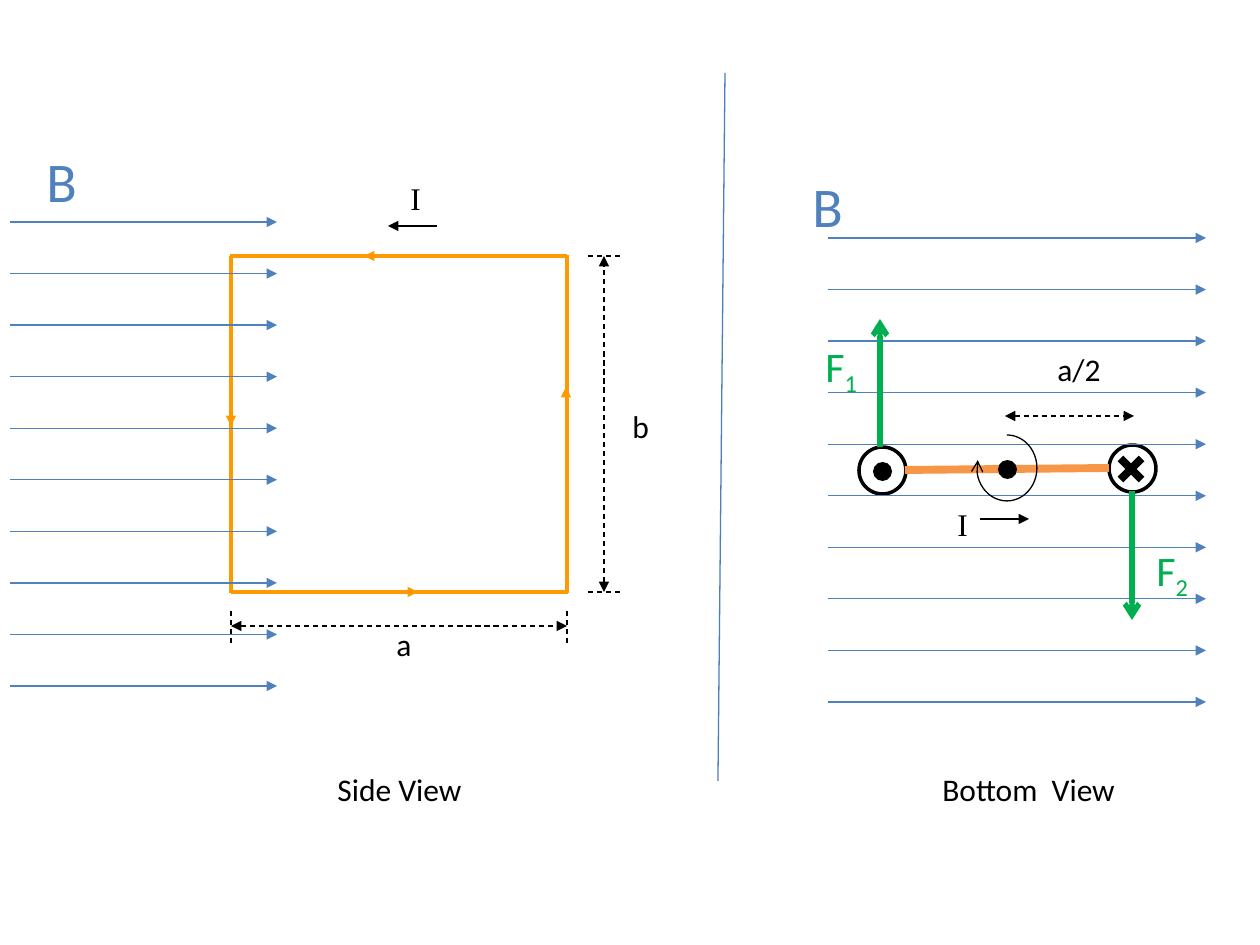
from dataclasses import dataclass

from lxml import etree
from pptx import Presentation, util as u
from pptx.dml.color import RGBColor
from pptx.enum import dml, shapes, text
from pptx.oxml.ns import qn


@dataclass(frozen=True)
class Theme:
    black: str = "000000"
    white: str = "FFFFFF"
    field: str = "4F81BD"
    divider: str = "4B7EBC"
    loop: str = "FF9900"
    wire: str = "F79646"
    force: str = "00B050"
    sans: str = "Calibri"
    serif: str = "Times New Roman"
    label: int = 18
    force_label: int = 24
    field_label: int = 32


THEME = Theme()
LEFT, TOP, RIGHT, BOTTOM = 231, 256, 567, 592  # current loop, side view

# Stroke styles
SIDE = dict(color=THEME.loop, width=2.25)
LOOP_ARROW = dict(color=THEME.loop, tail="triangle")
CURRENT = dict(tail="triangle")
TICK = dict(dashed=True)
DIMENSION = dict(dashed=True, head="triangle", tail="triangle")
FIELD = dict(color=THEME.field, tail="triangle")
WIRE = dict(color=THEME.wire, width=4.5)
FORCE = dict(color=THEME.force, width=3, tail="arrow")
DIVIDER = dict(color=THEME.divider)

# Strokes: from x, from y, to x, to y, style
SIDE_STROKES = [
    (LEFT - 1, TOP, RIGHT, TOP, SIDE),
    (LEFT, BOTTOM, RIGHT + 1, BOTTOM, SIDE),
    (LEFT, BOTTOM + 1, LEFT, TOP, SIDE),
    (RIGHT, BOTTOM + 1, RIGHT, TOP - 1, SIDE),
    (LEFT, 363, LEFT, 426, LOOP_ARROW),
    (RIGHT - 1, 449, RIGHT - 1, 387, LOOP_ARROW),
    (427, TOP, 364, TOP, LOOP_ARROW),
    (357, BOTTOM, 418, BOTTOM, LOOP_ARROW),
    (437, 226, 388, 226, CURRENT),
    (LEFT, 611, LEFT, 646, TICK),
    (RIGHT, 611, RIGHT, 646, TICK),
    (LEFT, 626, RIGHT, 626, DIMENSION),
    (588, BOTTOM, 624, BOTTOM, TICK),
    (588, TOP, 624, TOP, TICK),
    (604, BOTTOM, 604, TOP, DIMENSION),
]
BOTTOM_STROKES = [
    (880, 447, 880, 319, FORCE),
    (1132, 491, 1132, 620, FORCE),
    (1005, 416, 1134, 416, DIMENSION),
    (980, 519, 1029, 519, CURRENT),
    (725, 73, 718, 781, DIVIDER),
]

# Field lines: from x, to x, first y
SIDE_FIELD = (10, 277, 222)
BOTTOM_FIELD = (828, 1206, 238)
FIELD_COUNT, FIELD_SPAN = 10, 464

# Wire ends: left, top, width, height, fill, line width
WIRE_ENDS = [
    (859, 447, 47, 47, THEME.white, 2),
    (873, 462, 19, 19, THEME.black, 0),
    (1109, 445, 47, 47, THEME.white, 2),
]
CROSS, CROSS_ANGLES = (1116, 465, 30, 8), (315, 45)
PIVOT = (998, 460, 19, 19)
ROTATION, ROTATION_ANGLES = (977, 435, 60, 66), (162, 116.96)

# Labels: text, subscript, left, top, width, height, format
FIELD_TEXT = dict(size=THEME.field_label, color=THEME.field)
FORCE_TEXT = dict(size=THEME.force_label, color=THEME.force)
CURRENT_TEXT = dict(font=THEME.serif)
LABELS = [
    ("I", "", 398, 173, 35, 47, CURRENT_TEXT),
    ("a", "", 384, 619, 40, 47, {}),
    ("b", "", 620, 401, 40, 47, {}),
    ("B", "", 34, 140, 57, 81, FIELD_TEXT),
    ("a/2", "", 1045, 344, 69, 50, {}),
    ("B", "", 800, 165, 57, 81, FIELD_TEXT),
    ("I", "", 945, 499, 35, 47, CURRENT_TEXT),
    ("F", "1", 813, 334, 59, 63, FORCE_TEXT),
    ("F", "2", 1144, 538, 59, 63, FORCE_TEXT),
    ("Side View", "", 325, 764, 151, 50, {}),
    ("Bottom  View", "", 930, 764, 200, 50, {}),
]


def px(*lengths):
    return [u.Emu(round(length * 914400 / 126)) for length in lengths]


def rgb(color):
    return RGBColor.from_string(color)


def set_stroke(shape, color=THEME.black, width=0.75, dashed=False, head=None, tail=None):
    shape.line.color.rgb = rgb(color)
    shape.line.width = u.Pt(width)
    if dashed:
        shape.line.dash_style = dml.MSO_LINE.DASH
    outline = shape.element.spPr.find(qn("a:ln"))
    for tag, kind in (("a:headEnd", head), ("a:tailEnd", tail)):
        if kind:
            etree.SubElement(outline, qn(tag), type=kind)


def add_stroke(slide, x1, y1, x2, y2, style):
    line = slide.shapes.add_connector(shapes.MSO_CONNECTOR.STRAIGHT, *px(x1, y1, x2, y2))
    set_stroke(line, **style)
    etree.SubElement(line.element.spPr, qn("a:effectLst"))


def add_field(slide, start, end, first):
    for index in range(FIELD_COUNT):
        y = first + index * FIELD_SPAN / (FIELD_COUNT - 1)
        add_stroke(slide, start, y, end, y, FIELD)


def add_solid(slide, kind, place, fill=THEME.black, width=0):
    shape = slide.shapes.add_shape(kind, *px(*place))
    shape.shadow.inherit = False
    shape.fill.solid()
    shape.fill.fore_color.rgb = rgb(fill)
    if width:
        set_stroke(shape, width=width)
    else:
        shape.line.fill.background()
    return shape


def add_label(slide, words, subscript, *place, size=THEME.label, font=THEME.sans,
              color=THEME.black):
    box = slide.shapes.add_textbox(*px(*place))
    frame = box.text_frame
    frame.word_wrap = False
    frame.auto_size = text.MSO_AUTO_SIZE.SHAPE_TO_FIT_TEXT
    para = frame.paragraphs[0]
    for part, baseline in ((words, None), (subscript, "-25000")):
        if not part:
            continue
        span = para.add_run()
        span.text = part
        span.font.size = u.Pt(size)
        span.font.name = font
        span.font.color.rgb = rgb(color)
        if baseline:
            span.font._element.set("baseline", baseline)


def add_rotation(slide):
    arc = slide.shapes.add_shape(shapes.MSO_SHAPE.ARC, *px(*ROTATION))
    arc.shadow.inherit = False
    arc.fill.background()
    for index, angle in enumerate(ROTATION_ANGLES):
        arc.adjustments[index] = angle
    set_stroke(arc, tail="arrow")


def main():
    deck = Presentation()
    deck.slide_width, deck.slide_height = px(1260, 945)
    slide = deck.slides.add_slide(deck.slide_layouts[6])

    for *ends, style in SIDE_STROKES:
        add_stroke(slide, *ends, style)
    add_field(slide, *SIDE_FIELD)

    for *place, fill, width in WIRE_ENDS:
        add_solid(slide, shapes.MSO_SHAPE.OVAL, place, fill, width)
    add_stroke(slide, 905, 470, 1109, 468, WIRE)
    for angle in CROSS_ANGLES:
        add_solid(slide, shapes.MSO_SHAPE.RECTANGLE, CROSS).rotation = angle
    add_field(slide, *BOTTOM_FIELD)
    for *ends, style in BOTTOM_STROKES:
        add_stroke(slide, *ends, style)
    add_solid(slide, shapes.MSO_SHAPE.OVAL, PIVOT)
    add_rotation(slide)

    for *label, style in LABELS:
        add_label(slide, *label, **style)
    deck.save("out.pptx")


if __name__ == "__main__":
    main()
